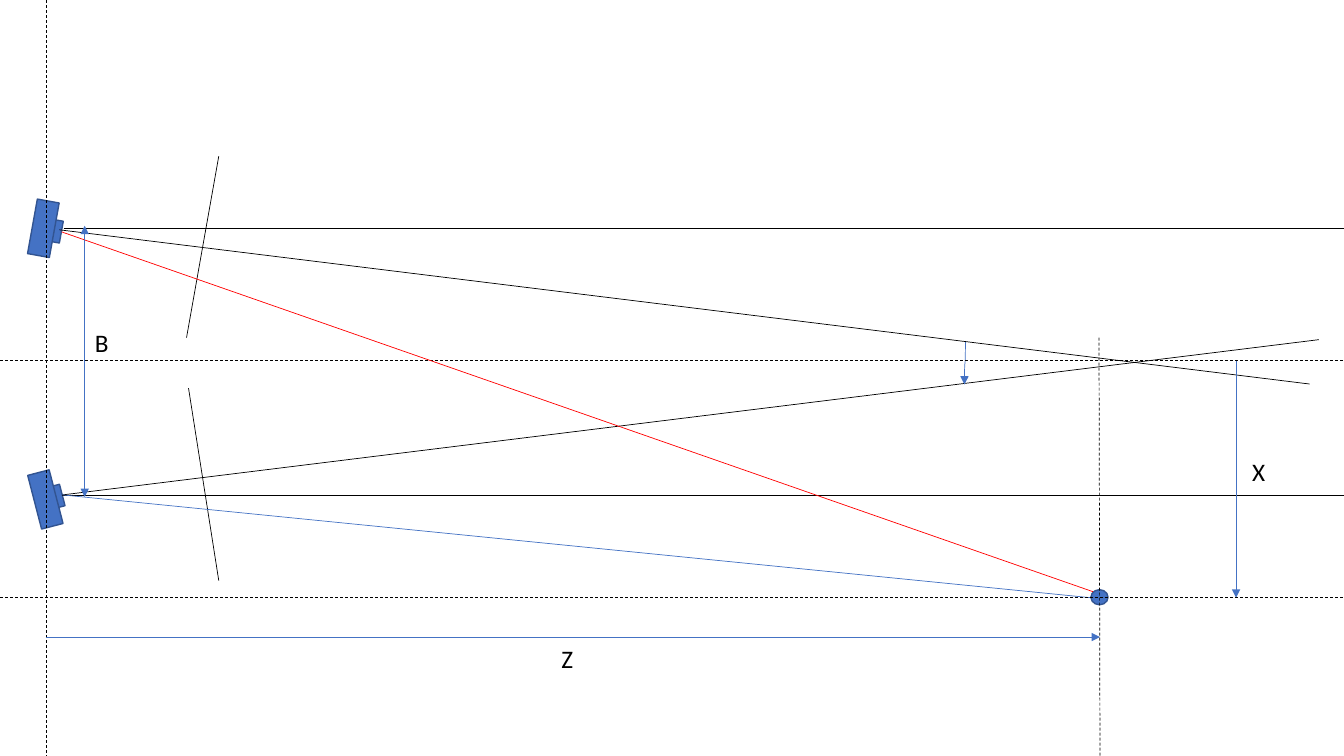
from dataclasses import dataclass

from pptx import Presentation
from pptx.dml.color import RGBColor
from pptx.enum.dml import MSO_LINE
from pptx.enum.shapes import MSO_CONNECTOR, MSO_SHAPE
from pptx.enum.text import MSO_AUTO_SIZE, PP_ALIGN
from pptx.oxml.ns import qn
from pptx.util import Inches, Pt
from lxml import etree

RECT, OVAL = MSO_SHAPE.RECTANGLE, MSO_SHAPE.OVAL
STRAIGHT, CURVE = MSO_CONNECTOR.STRAIGHT, MSO_CONNECTOR.CURVE
DASH = MSO_LINE.DASH
LEFT, CENTER = PP_ALIGN.LEFT, PP_ALIGN.CENTER
COLS, ROWS = 1333, 750
OVAL_TOP_LEFT, OVAL_LEFT, RECT_RIGHT = 1, 2, 3


@dataclass(frozen=True)
class Theme:
    black: RGBColor = RGBColor(0, 0, 0)
    red: RGBColor = RGBColor(255, 0, 0)
    blue: RGBColor = RGBColor(0x44, 0x72, 0xC4)
    edge: RGBColor = RGBColor(0x32, 0x54, 0x91)
    font: str = "Calibri"
    label_size: float = 18
    thin: float = 0.5
    outline: float = 1


class Diagram:
    def __init__(self, prs, theme):
        self.theme = theme
        self.s = prs.slides.add_slide(prs.slide_layouts[6])
        self.col = prs.slide_width / COLS
        self.row = prs.slide_height / ROWS

    def x(self, cols):
        return round(cols * self.col)

    def y(self, rows):
        return round(rows * self.row)

    def box(self, left, top, width, height):
        return self.x(left), self.y(top), self.x(width), self.y(height)

    def shape(self, kind, *box, rotation=0, parent=None):
        sp = (parent or self.s).shapes.add_shape(kind, *self.box(*box))
        sp.rotation = rotation
        sp.shadow.inherit = False
        sp.fill.solid()
        sp.fill.fore_color.rgb = self.theme.blue
        sp.line.color.rgb = self.theme.edge
        sp.line.width = Pt(self.theme.outline)
        return sp

    def camera(self, body, lens, rotation):
        group = self.s.shapes.add_group_shape()
        lens_sp = self.shape(RECT, *lens, 15, 22, rotation=rotation, parent=group)
        self.shape(RECT, *body, 22, 55, rotation=rotation, parent=group)
        return lens_sp

    def line(self, start, end, color=None, dash=None, head=False, tail=False,
             kind=STRAIGHT, rotation=0, source=None, target=None):
        begin = self.x(start[0]), self.y(start[1])
        finish = self.x(end[0]), self.y(end[1])
        c = self.s.shapes.add_connector(kind, *begin, *finish)
        if source:
            c.begin_connect(*source)
        if target:
            c.end_connect(*target)
        c.begin_x, c.begin_y = begin
        c.end_x, c.end_y = finish
        c.rotation = rotation
        c.line.color.rgb = color or self.theme.black
        c.line.width = Pt(self.theme.thin)
        if dash:
            c.line.dash_style = dash
        ln = c.line._get_or_add_ln()
        for tag, wanted in (("a:headEnd", head), ("a:tailEnd", tail)):
            if wanted:
                etree.SubElement(ln, qn(tag), type="triangle")
        etree.SubElement(c._element.spPr, qn("a:effectLst"))

    def label(self, text, *box, align=LEFT):
        tf = self.s.shapes.add_textbox(*self.box(*box)).text_frame
        tf.word_wrap = True
        tf.auto_size = MSO_AUTO_SIZE.SHAPE_TO_FIT_TEXT
        tf.text = text
        p = tf.paragraphs[0]
        p.alignment = align
        r = p.runs[0]
        r.font.name = self.theme.font
        r.font.size = Pt(self.theme.label_size)
        r.font.color.rgb = self.theme.black


def main():
    prs = Presentation()
    prs.slide_width, prs.slide_height = Inches(13.33), Inches(7.5)
    theme = Theme()
    d = Diagram(prs, theme)

    baseline_x, point_x = 46, 1090
    upper_y, middle_y, lower_y, point_y, depth_y = 227, 358, 491, 593, 632
    lower_eye = (62, lower_y)

    upper_lens = d.camera((32, 199), (46, 218), 10.2)
    lower_lens = d.camera((34, 468), (47, 482), 345.5)
    upper_port = (upper_lens, RECT_RIGHT)
    lower_port = (lower_lens, RECT_RIGHT)

    d.line((217, 155), (185, 335))
    d.line((187, 385), (217, 576))
    d.line((63, upper_y), (COLS, upper_y))
    d.line(lower_eye, (COLS, lower_y), source=lower_port)
    d.line((59, 228), (1299, 381))
    d.line(lower_eye, (1308, 337), source=lower_port)
    d.line((936, 360), (978, 361), theme.blue, tail=True, kind=CURVE, rotation=90)

    d.line((baseline_x, 0), (baseline_x, ROWS), dash=DASH)
    d.line((0, middle_y), (COLS, middle_y), dash=DASH)

    point = d.shape(OVAL, 1082, 585, 17, 15)
    d.line((61, 230), (1084, 587), theme.red,
           source=upper_port, target=(point, OVAL_TOP_LEFT))
    d.line(lower_eye, (1082, point_y), theme.blue,
           source=lower_port, target=(point, OVAL_LEFT))

    d.line((baseline_x, depth_y), (point_x + 1, depth_y), theme.blue, tail=True)
    d.line((1226, middle_y), (1226, point_y), theme.blue, tail=True)
    d.line((0, point_y), (COLS, point_y), dash=DASH)
    d.line((point_x, 335), (point_x + 1, ROWS), dash=DASH)
    d.line((84, 224), (84, 493), theme.blue, head=True, tail=True)

    d.label("Z", 547, 633, 36, 40)
    d.label("X", 1232, 448, 36, 40)
    d.label("B", 81, 320, 40, 40, align=CENTER)

    prs.save("out.pptx")


if __name__ == "__main__":
    main()
